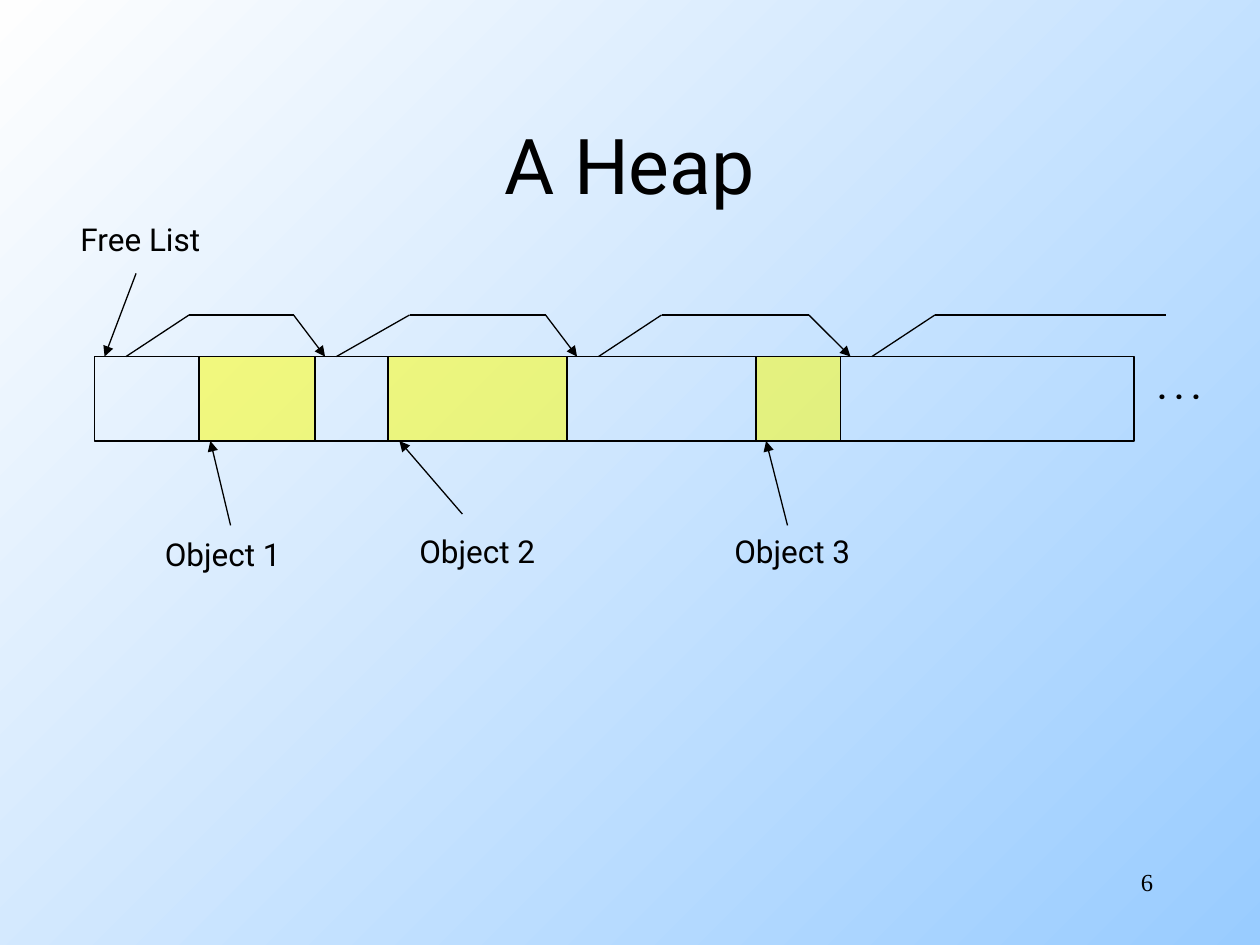
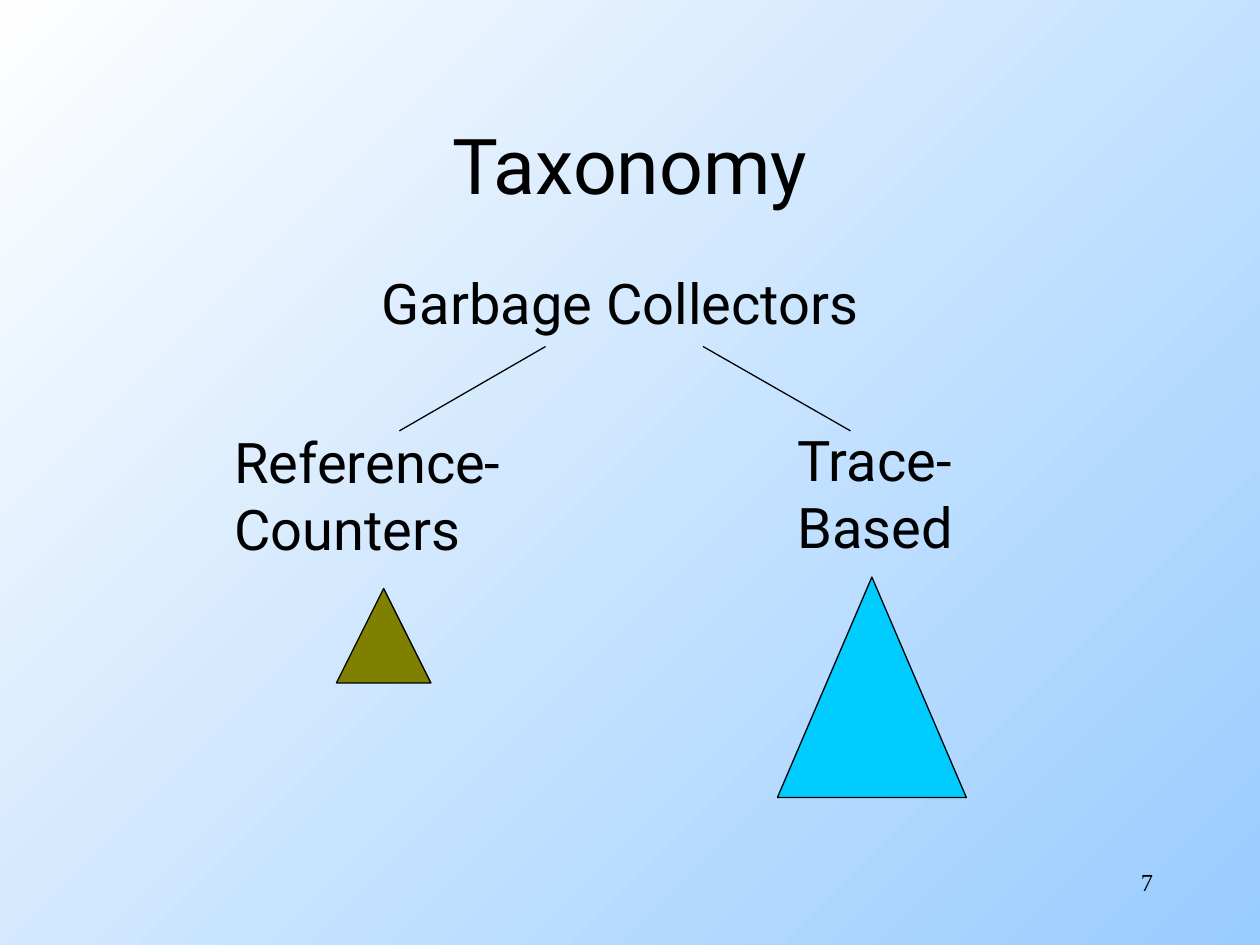
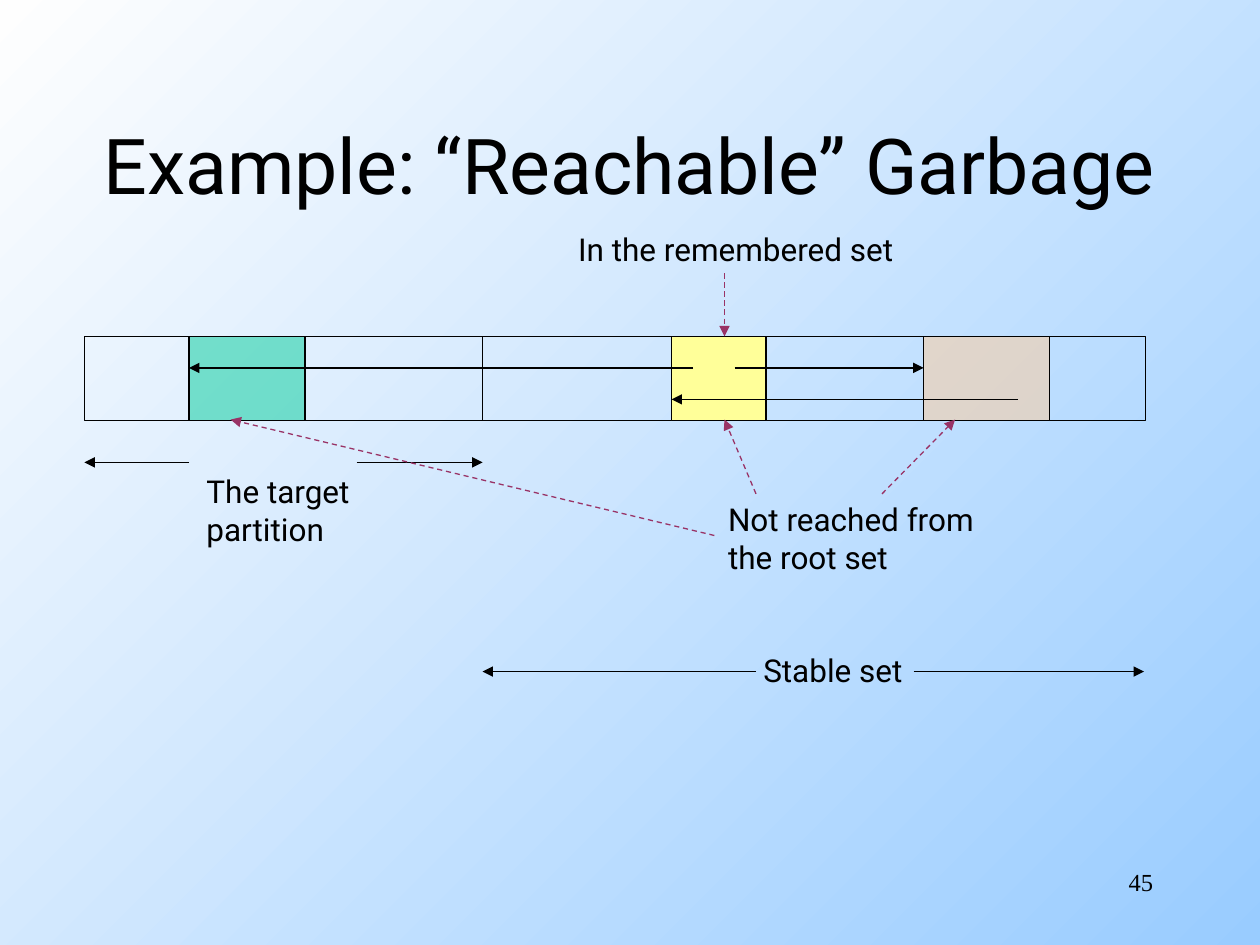
"""Build three slides on heaps and garbage collection."""
from dataclasses import dataclass
from itertools import pairwise

from lxml.etree import SubElement
from pptx import Presentation
from pptx.dml.color import RGBColor as Rgb
from pptx.enum.dml import MSO_LINE as Dash
from pptx.enum.shapes import MSO_CONNECTOR as Conn, MSO_SHAPE as Kind
from pptx.enum.text import MSO_ANCHOR as Anchor, PP_ALIGN as Align
from pptx.oxml.ns import qn
from pptx.slide import Slide
from pptx.util import Inches, Pt

HUES = {
    "black": "000000", "sky": "99CCFF", "white": "FEFEFE", "plum": "993366",
    "yellow": "FFFF00", "cream": "FFFF99", "green": "00CC99", "peach": "FFCC99",
    "olive": "808000", "cyan": "00CCFF",
}
SANS, SERIF = "Roboto", "Times New Roman"
Point = tuple[float, float]


@dataclass(frozen=True)
class Text:
    words: str
    left: float
    top: float
    width: float
    height: float = 0.4
    size: int = 18
    bold: bool = False
    face: str = SANS
    align: Align = Align.LEFT
    anchor: Anchor = Anchor.TOP
    wrap: bool = False


@dataclass(frozen=True)
class Block:
    left: float
    top: float
    width: float
    height: float = 0.67
    hue: str = ""
    clear: bool = False
    kind: Kind = Kind.RECTANGLE


@dataclass(frozen=True)
class Route:
    points: tuple[Point, ...]
    arrow: bool = True
    hue: str = "black"
    dash: bool = False


@dataclass(frozen=True)
class Page:
    title: Text
    number: int
    items: tuple[Text | Block | Route, ...]


def tint(name: str) -> Rgb:
    return Rgb.from_string(HUES[name])


def draw_text(slide: Slide, text: Text) -> None:
    box = slide.shapes.add_textbox(
        *map(Inches, (text.left, text.top, text.width, text.height)))
    frame = box.text_frame
    frame.word_wrap = text.wrap
    frame.vertical_anchor = text.anchor
    frame.text = text.words
    for para in frame.paragraphs:
        para.alignment = text.align
        font = para.font
        font.name, font.size, font.bold = text.face, Pt(text.size), text.bold
        font.color.rgb = tint("black")


def draw_block(slide: Slide, block: Block) -> None:
    shape = slide.shapes.add_shape(
        block.kind,
        *map(Inches, (block.left, block.top, block.width, block.height)))
    shape.shadow.inherit = False
    shape.line.color.rgb = tint("black")
    shape.line.width = Pt(0.75)
    if not block.hue:
        shape.fill.background()
        return
    shape.fill.solid()
    shape.fill.fore_color.rgb = tint(block.hue)
    if block.clear:
        color = shape.fill._xPr.find(".//" + qn("a:srgbClr"))
        SubElement(color, qn("a:alpha"), val="50000")


def draw_route(slide: Slide, route: Route) -> None:
    for start, end in pairwise(route.points):
        link = slide.shapes.add_connector(
            Conn.STRAIGHT, *map(Inches, (*start, *end)))
        link.line.color.rgb = tint(route.hue)
        link.line.width = Pt(0.75)
        if route.dash:
            link.line.dash_style = Dash.DASH
        if route.arrow and end == route.points[-1]:
            SubElement(link.line._get_or_add_ln(), qn("a:tailEnd"), type="triangle")
        SubElement(link._element.spPr, qn("a:effectLst"))


DRAW = {Text: draw_text, Block: draw_block, Route: draw_route}


def head(words: str, left: float = 0.75, width: float = 8.5) -> Text:
    return Text(words, left, 0.67, width, 1.25, 44,
                align=Align.CENTER, anchor=Anchor.MIDDLE, wrap=True)


def foot(number: int) -> Text:
    return Text(str(number), 7.17, 6.83, 2.08, 0.5, 14, face=SERIF,
                align=Align.RIGHT, wrap=True)


def arrow(*points: Point) -> Route:
    return Route(points)


def plain(*points: Point) -> Route:
    return Route(points, arrow=False)


def hint(*points: Point) -> Route:
    return Route(points, hue="plum", dash=True)


def hop(start: float, rise: float, fall: float, end: float) -> Route:
    return arrow((start, HEAP), (rise, 2.5), (fall, 2.5), (end, HEAP))


HEAP, BAR = 2.83, 2.67

PAGES = (
    Page(head("A Heap"), 6, (
        Block(0.75, HEAP, 8.25),
        Text(". . .", 9.09, 2.87, 0.54, bold=True),
        *(Block(left, HEAP, width, hue="yellow", clear=True)
          for left, width in ((1.58, 0.92), (3.08, 1.42), (6, 0.67))),
        Text("Object 1", 1.21, 4.2, 1.17),
        Text("Object 2", 3.23, 4.17, 1.17),
        Text("Object 3", 5.73, 4.17, 1.17),
        arrow((1.83, 4.17), (1.67, 3.5)),
        arrow((3.67, 4.08), (3.17, 3.5)),
        arrow((6.25, 4.17), (6.08, 3.5)),
        Text("Free List", 0.54, 1.7, 1.18),
        arrow((1.08, 2.17), (0.83, HEAP)),
        hop(1, 1.5, 2.33, 2.58),
        hop(2.67, 3.25, 4.33, 4.58),
        hop(4.75, 5.25, 6.42, 6.75),
        plain((6.92, HEAP), (7.42, 2.5), (9.25, 2.5)),
    )),
    Page(head("Taxonomy"), 7, (
        Text("Garbage Collectors", 2.93, 2.08, 4.19, 0.64, 32),
        Text("Reference-\nCounters", 1.76, 3.34, 2.45, 1.17, 32),
        Text("Trace-\nBased", 6.23, 3.33, 1.49, 1.17, 32),
        plain((4.33, 2.75), (3.17, 3.42)),
        plain((5.58, 2.75), (6.75, 3.42)),
        Block(2.67, 4.67, 0.75, 0.75, "olive", kind=Kind.ISOSCELES_TRIANGLE),
        Block(6.17, 4.58, 1.5, 1.75, "cyan", kind=Kind.ISOSCELES_TRIANGLE),
    )),
    Page(head("Example: “Reachable” Garbage", 0, 10), 45, (
        Block(0.67, BAR, 8.42),
        plain((3.83, BAR), (3.83, 3.33)),
        Text("The target\npartition", 1.54, 3.7, 1.42, 0.7),
        arrow((1.5, 3.67), (0.67, 3.67)),
        arrow((2.83, 3.67), (3.83, 3.67)),
        Block(1.5, BAR, 0.92, hue="green", clear=True),
        Block(5.33, BAR, 0.75, hue="cream"),
        Block(7.33, BAR, 1, hue="peach", clear=True),
        arrow((5.83, 2.92), (7.33, 2.92)),
        arrow((8.08, 3.17), (5.33, 3.17)),
        arrow((5.5, 2.92), (1.5, 2.92)),
        Text("Not reached from\nthe root set", 5.68, 3.92, 2.29, 0.7),
        hint((6, 3.92), (5.75, 3.33)),
        hint((7, 3.92), (7.58, 3.33)),
        hint((5.67, 4.25), (1.83, 3.33)),
        Text("In the remembered set", 4.49, 1.78, 2.91),
        hint((5.75, 2.17), (5.75, BAR)),
        Text("Stable set", 5.96, 5.12, 1.34),
        arrow((6, 5.33), (3.83, 5.33)),
        arrow((7.25, 5.33), (9.08, 5.33)),
    )),
)


def main() -> None:
    deck = Presentation()
    deck.slide_width, deck.slide_height = Inches(10), Inches(7.5)
    fill = deck.slide_master.background.fill
    fill.gradient()
    fill.gradient_angle = 135
    for stop, hue in zip(fill.gradient_stops, ("sky", "white")):
        stop.color.rgb = tint(hue)
    for page in PAGES:
        slide = deck.slides.add_slide(deck.slide_layouts[6])
        for item in (page.title, *page.items, foot(page.number)):
            DRAW[type(item)](slide, item)
    deck.save("out.pptx")


if __name__ == "__main__":
    main()
